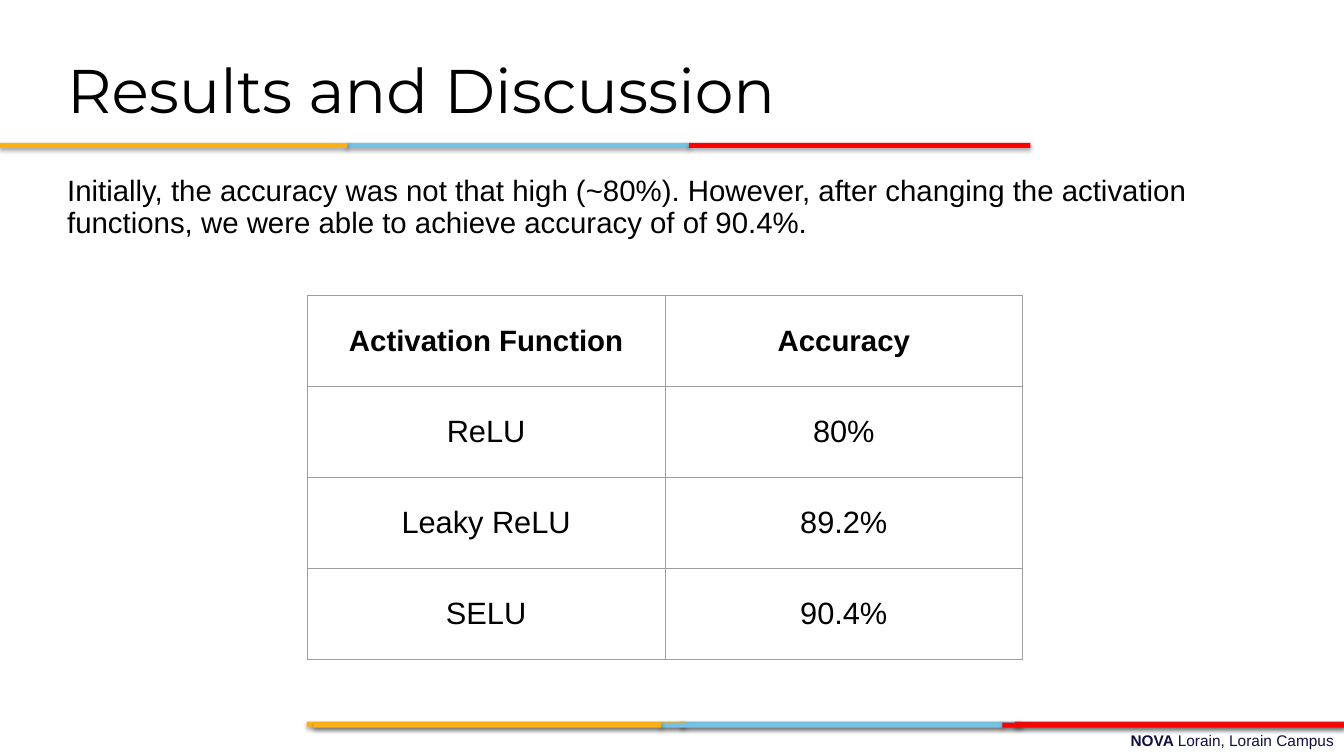
from typing import NamedTuple

from lxml import etree
from pptx import Presentation
from pptx.dml.color import RGBColor
from pptx.enum.shapes import MSO_SHAPE
from pptx.enum.text import MSO_ANCHOR, PP_ALIGN
from pptx.oxml.ns import nsdecls
from pptx.util import Pt

RECT = MSO_SHAPE.RECTANGLE
TOP, MIDDLE = MSO_ANCHOR.TOP, MSO_ANCHOR.MIDDLE
LEFT, CENTER, RIGHT = PP_ALIGN.LEFT, PP_ALIGN.CENTER, PP_ALIGN.RIGHT

BLACK, NAVY, GRAY = "000000", "101141", "9E9E9E"
YELLOW, BLUE, RED, DARK_RED = "FCB017", "76C2E5", "FF0000", "E31C24"
BAR_HEIGHT = 3.6
MARGIN, CONTENT_WIDTH = 48, 864

SHADOW = f"""<a:effectLst {nsdecls("a")}>
<a:outerShdw blurRad="{Pt(3.1)}" dist="{Pt(1.8)}" dir="5400000" algn="t" rotWithShape="0">
<a:srgbClr val="{BLACK}"><a:alpha val="35000"/></a:srgbClr>
</a:outerShdw></a:effectLst>"""


class Bar(NamedTuple):
    left: float
    top: float
    width: float
    color: str


class Text(NamedTuple):
    left: float
    top: float
    width: float
    height: float
    runs: list[tuple[str, bool]]
    font: str
    size: float
    color: str = BLACK
    align: PP_ALIGN = LEFT
    anchor: MSO_ANCHOR = TOP
    inset_x: float = 0
    inset_y: float = 0
    line_spacing: float = 1
    space_before: float = 0


def rgb(color: str) -> RGBColor:
    return RGBColor.from_string(color)


def style_paragraph(p, font: str, size: float, color: str, align: PP_ALIGN) -> None:
    p.alignment = align
    p.font.name = font
    p.font.size = Pt(size)
    p.font.color.rgb = rgb(color)


def draw_bar(s, bar: Bar) -> None:
    sp = s.shapes.add_shape(RECT, Pt(bar.left), Pt(bar.top), Pt(bar.width), Pt(BAR_HEIGHT))
    sp.fill.solid()
    sp.fill.fore_color.rgb = rgb(bar.color)
    sp.line.fill.background()
    sp._element.spPr.append(etree.fromstring(SHADOW))


def draw_text(s, text: Text) -> None:
    sp = s.shapes.add_textbox(Pt(text.left), Pt(text.top), Pt(text.width), Pt(text.height))
    tf = sp.text_frame
    tf.word_wrap = True
    tf.vertical_anchor = text.anchor
    tf.margin_left = tf.margin_right = Pt(text.inset_x)
    tf.margin_top = tf.margin_bottom = Pt(text.inset_y)
    p = tf.paragraphs[0]
    style_paragraph(p, text.font, text.size, text.color, text.align)
    p.line_spacing = text.line_spacing
    p.space_before = Pt(text.space_before)
    for words, bold in text.runs:
        r = p.add_run()
        r.text = words
        r.font.bold = bold


def set_borders(cell) -> None:
    for i, side in enumerate("LRTB"):
        border = etree.fromstring(
            f'<a:ln{side} {nsdecls("a")} w="{Pt(0.75)}"><a:solidFill>'
            f'<a:srgbClr val="{GRAY}"/></a:solidFill></a:ln{side}>'
        )
        cell._tc.get_or_add_tcPr().insert(i, border)


def draw_table(s, left: float, top: float, col_width: float, row_height: float,
               rows: list[tuple[str, ...]]) -> None:
    n_rows, n_cols = len(rows), len(rows[0])
    table = s.shapes.add_table(n_rows, n_cols, Pt(left), Pt(top),
                               Pt(col_width * n_cols), Pt(row_height * n_rows)).table
    table.first_row = table.horz_banding = False
    for i, row in enumerate(rows):
        header = i == 0
        for j, value in enumerate(row):
            cell = table.cell(i, j)
            cell.text = value
            cell.fill.background()
            cell.vertical_anchor = MIDDLE
            cell.margin_left = cell.margin_right = Pt(7.2)
            cell.margin_top = cell.margin_bottom = Pt(7.2)
            p = cell.text_frame.paragraphs[0]
            style_paragraph(p, "Arial", 21 if header else 22, BLACK, CENTER)
            p.font.bold = header
            set_borders(cell)


BARS = [
    Bar(486, 515.5, 244, BLUE),
    Bar(725, 515.5, 235, DARK_RED),
    Bar(219, 515.5, 270.7, YELLOW),
    Bar(472, 516.2, 244, BLUE),
    Bar(224, 516.2, 248, YELLOW),
    Bar(716, 516.2, 244, RED),
    Bar(248, 102, 244, BLUE),
    Bar(0, 102, 248, YELLOW),
    Bar(492, 102, 244, RED),
]

FOOTER = Text(344, 519, 616, 20, [("NOVA ", True), ("Lorain, Lorain Campus", False)],
              "Arial", 11, NAVY, RIGHT, inset_x=7.2, inset_y=3.6)
TITLE = Text(MARGIN, 21.6, CONTENT_WIDTH, 90, [("Results and Discussion", False)],
             "Montserrat", 44, anchor=MIDDLE, line_spacing=0.9)
SUMMARY = Text(MARGIN, 126, CONTENT_WIDTH, 313,
               [("Initially, the accuracy was not that high (~80%). However, after changing "
                 "the activation functions, we were able to achieve accuracy of of 90.4%.", False)],
               "Arial", 21, line_spacing=0.9, space_before=10)

RESULTS = [
    ("Activation Function", "Accuracy"),
    ("ReLU", "80%"),
    ("Leaky ReLU", "89.2%"),
    ("SELU", "90.4%"),
]

prs = Presentation()
prs.slide_width, prs.slide_height = Pt(960), Pt(540)
s = prs.slides.add_slide(prs.slide_layouts[6])

draw_text(s, FOOTER)
for bar in BARS:
    draw_bar(s, bar)
draw_text(s, TITLE)
draw_text(s, SUMMARY)
draw_table(s, 219.5, 211, 255.5, 65, RESULTS)

prs.save("out.pptx")
